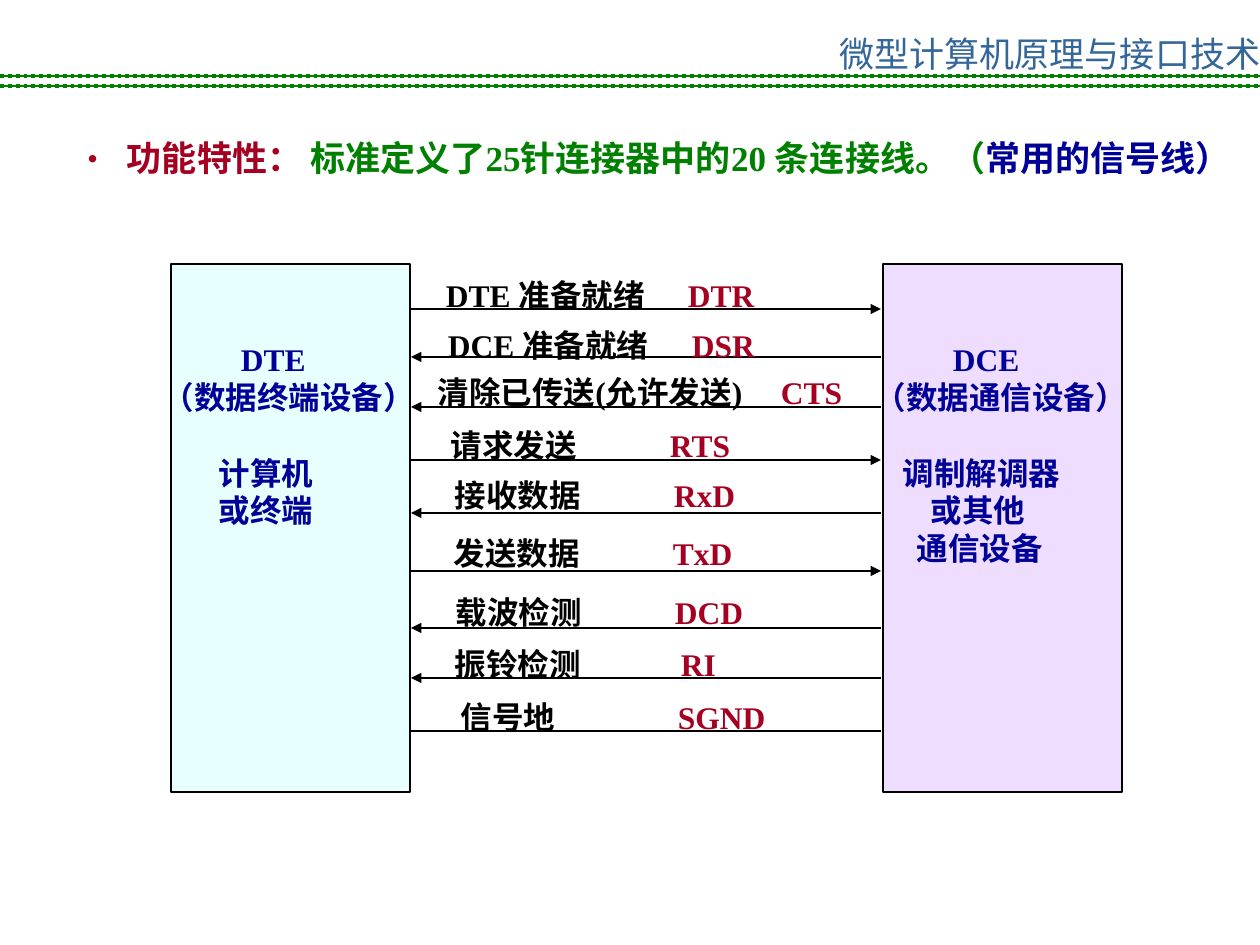
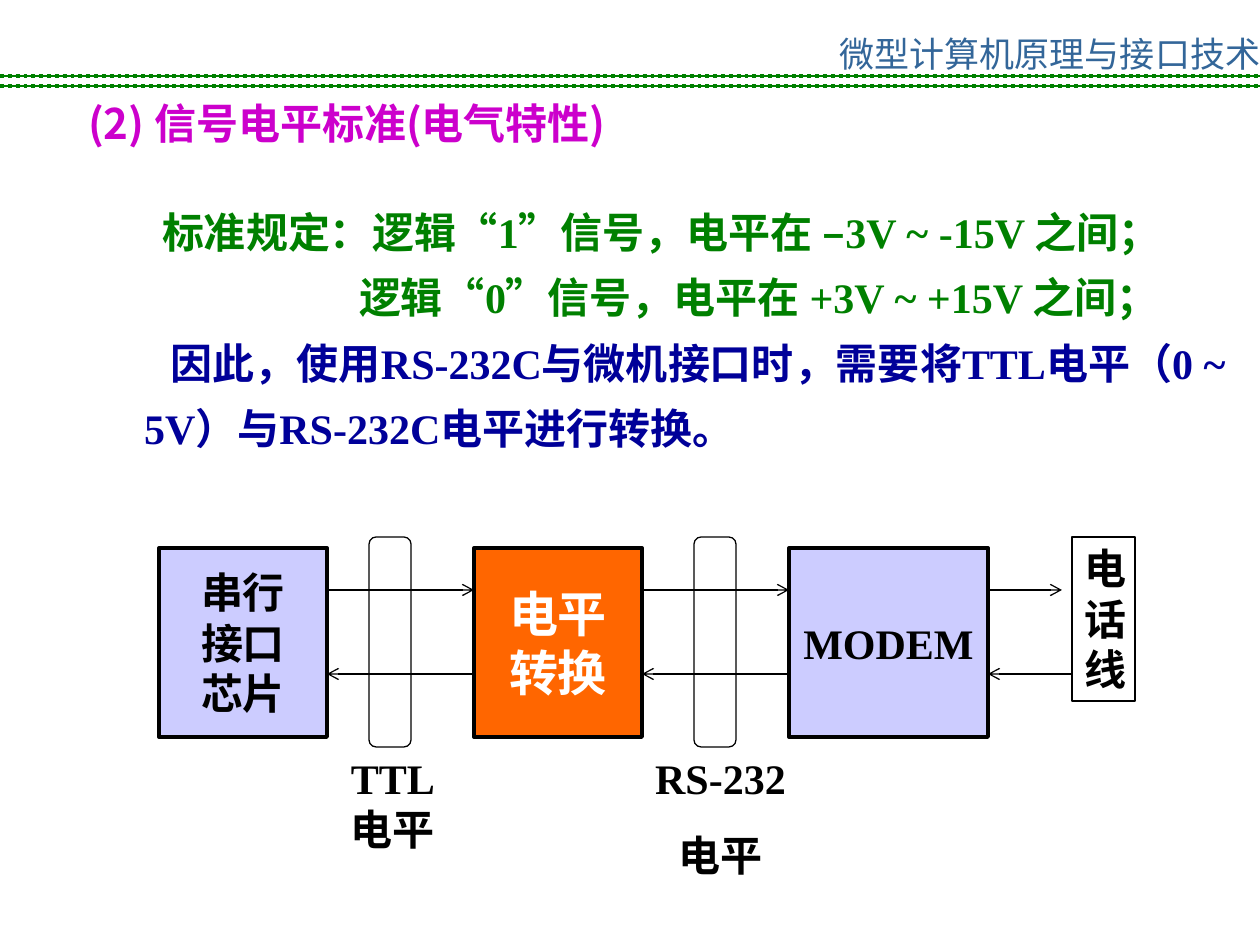
from dataclasses import dataclass

from lxml import etree
from pptx import Presentation
from pptx.dml.color import RGBColor
from pptx.enum.dml import MSO_LINE_DASH_STYLE as Dash
from pptx.enum.shapes import MSO_CONNECTOR as Connector, MSO_SHAPE as Preset
from pptx.enum.text import MSO_ANCHOR as Anchor, MSO_AUTO_SIZE as AutoSize, PP_ALIGN as Align
from pptx.oxml.ns import qn
from pptx.util import Emu, Pt

EMU_PER_PX = 914400 / 126
SLIDE_W, SLIDE_H = 1260, 945
TITLE_ONLY, BLANK = 5, 6
INSET = 13


@dataclass(frozen=True)
class Theme:
    latin: str = "Times New Roman"
    cjk: str = "Noto Sans CJK SC"
    black: str = "000000"
    white: str = "FFFFFF"
    green: str = "008000"
    blue: str = "000099"
    red: str = "A50021"
    magenta: str = "CC00CC"
    course: str = "336699"
    terminal: str = "CCFFFF"
    modem: str = "CC99FF"
    block: str = "CCCCFF"
    converter: str = "FF6600"
    small: int = 18
    lead: int = 20
    body: int = 24
    large: int = 28
    thin: float = 0.75
    thick: float = 2.25


THEME = Theme()


def px(length):
    return Emu(round(length * EMU_PER_PX))


def rgb(color):
    return RGBColor.from_string(color)


def apply(target, formats):
    for name, value in formats.items():
        setattr(target, name, value)


# Text
def add_run(paragraph, text, size, color, bold=True, latin=THEME.latin):
    run = paragraph.add_run()
    run.text = text
    apply(run.font, {"size": Pt(size), "bold": bold, "name": latin})
    run.font.color.rgb = rgb(color)
    props = run.font._element
    props.set("lang", "zh-CN")
    east_asian = etree.SubElement(props, qn("a:ea"))
    east_asian.set("typeface", THEME.cjk)


def set_indent(paragraph, margin, first):
    props = paragraph._p.get_or_add_pPr()
    props.set("marL", str(px(margin)))
    props.set("indent", str(px(first)))


def set_tab(paragraph, position):
    props = paragraph._p.get_or_add_pPr()
    tabs = etree.SubElement(props, qn("a:tabLst"))
    etree.SubElement(tabs, qn("a:tab"), pos=str(px(position)), algn="l")


def frame_of(shape, wrap=True, anchor=Anchor.TOP):
    frame = shape.text_frame
    apply(frame, {"word_wrap": wrap, "vertical_anchor": anchor,
                  "auto_size": AutoSize.NONE,
                  "margin_left": px(INSET), "margin_right": px(INSET),
                  "margin_top": px(6), "margin_bottom": px(6)})
    return frame


def add_text(slide, box, wrap=True):
    return frame_of(slide.shapes.add_textbox(*map(px, box)), wrap)


def add_lines(frame, lines, size, color, align=Align.LEFT, gap=0):
    for index, line in enumerate(lines):
        paragraph = frame.add_paragraph() if index else frame.paragraphs[0]
        paragraph.alignment = align
        if index and gap:
            paragraph.space_before = Pt(gap)
        add_run(paragraph, line, size, color)


# Outlines and lines
def add_box(slide, box, fill=None, weight=THEME.thin, alpha=None, preset=Preset.RECTANGLE):
    shape = slide.shapes.add_shape(preset, *map(px, box))
    shape.shadow.inherit = False
    if fill:
        shape.fill.solid()
        shape.fill.fore_color.rgb = rgb(fill)
    else:
        shape.fill.background()
    if alpha:
        color = shape._element.spPr.find(qn("a:solidFill")).find(qn("a:srgbClr"))
        etree.SubElement(color, qn("a:alpha"), val=str(alpha * 1000))
    shape.line.color.rgb = rgb(THEME.black)
    shape.line.width = Pt(weight)
    return shape


def add_line(slide, start, end, y, color=THEME.black, weight=THEME.thin, dash=None, head=None):
    """Draw a level line; the arrowhead, if any, sits at its end."""
    line = slide.shapes.add_connector(Connector.STRAIGHT, px(start), px(y), px(end), px(y))
    line.line.color.rgb = rgb(color)
    line.line.width = Pt(weight)
    if dash:
        line.line.dash_style = dash
    if head:
        etree.SubElement(line.line._get_or_add_ln(), qn("a:tailEnd"), type=head)
    etree.SubElement(line._element.spPr, qn("a:effectLst"))


# Shared header: course name above a double green rule
def add_header(slide):
    course = add_text(slide, (878, 26, 344, 30), wrap=False).paragraphs[0]
    course.alignment = Align.CENTER
    add_run(course, "微型计算机原理与接口技术", THEME.lead, THEME.course, False, THEME.cjk)
    for y in (76, 86):
        add_line(slide, 0, SLIDE_W, y, THEME.green, THEME.thick, Dash.ROUND_DOT)
        add_line(slide, 0, SLIDE_W, y, THEME.green)


# Slide 1: signal lines between terminal and modem
SIGNALS = [  # label, code, label x, code x, text top, line y, direction
    ("DTE 准备就绪", "DTR", 446, 688, 270, 309, "right"),
    ("DCE 准备就绪", "DSR", 448, 692, 320, 357, "left"),
    ("清除已传送(允许发送)", "CTS", 438, 781, 367, 407, "left"),
    ("请求发送", "RTS", 451, 670, 420, 460, "right"),
    ("接收数据", "RxD", 455, 674, 470, 513, "left"),
    ("发送数据", "TxD", 454, 673, 528, 571, "right"),
    ("载波检测", "DCD", 456, 675, 587, 628, "left"),
    ("振铃检测", "RI", 455, 681, 639, 678, "left"),
    ("信号地", "SGND", 461, 678, 692, 731, None),
]


def add_lead(slide, box):
    lead = add_text(slide, box).paragraphs[0]
    set_indent(lead, 0, 0)
    props = lead._p.get_or_add_pPr()
    bullet_color = etree.SubElement(props, qn("a:buClr"))
    etree.SubElement(bullet_color, qn("a:srgbClr"), val=THEME.red)
    etree.SubElement(props, qn("a:buFont"), typeface=THEME.cjk)
    etree.SubElement(props, qn("a:buChar"), char="•")
    set_tab(lead, 51)
    for text, color in [("\t功能特性： ", THEME.red),
                        ("标准定义了25针连接器中的20 条连接线。（", THEME.green),
                        ("常用的信号线）", THEME.blue)]:
        add_run(lead, text, THEME.lead, color)


def add_device(slide, box, fill, alpha, names):
    left, top, _, _ = box
    add_box(slide, box, fill, alpha=alpha)
    frame = add_text(slide, (left - 21, top + 70, 300, 240))
    add_lines(frame, [name for name, _ in names], THEME.small, THEME.blue)
    for paragraph, (_, indent) in zip(frame.paragraphs, names):
        set_indent(paragraph, indent, 0)
    frame.paragraphs[2].space_before = Pt(21.7)


def add_signal(slide, left, right, signal):
    label, code, label_x, code_x, top, line_y, direction = signal
    start, end = (right, left) if direction == "left" else (left, right)
    add_line(slide, start, end, line_y, head="triangle" if direction else None)
    text = add_text(slide, (label_x - INSET, top, 440, 50)).paragraphs[0]
    set_tab(text, code_x - label_x)
    add_run(text, label + "\t", THEME.small, THEME.black)
    add_run(text, code, THEME.small, THEME.red)


def build_signals(deck):
    slide = deck.slides.add_slide(deck.slide_layouts[BLANK])
    add_header(slide)
    add_lead(slide, (63, 130, 1197, 56))
    add_device(slide, (171, 264, 239, 528), THEME.terminal, 44,
               [("DTE", 78), ("（数据终端设备）", 0), ("计算机", 56), ("或终端", 56)])
    add_device(slide, (883, 264, 239, 528), THEME.modem, 33,
               [("DCE", 78), ("（数据通信设备）", 0), ("调制解调器", 28),
                ("或其他", 56), ("通信设备", 42)])
    for signal in SIGNALS:
        add_signal(slide, 411, 881, signal)


# Slide 2: signal levels and their conversion
def add_title(slide, box, text):
    title = slide.shapes.title
    apply(title, dict(zip(("left", "top", "width", "height"), map(px, box))))
    heading = frame_of(title).paragraphs[0]
    apply(heading, {"alignment": Align.LEFT, "line_spacing": 1.4})
    add_run(heading, text, THEME.body, THEME.magenta, latin=THEME.cjk)


def add_rules(slide, box):
    rules = [("标准规定：逻辑“1”信号，电平在 –3V ~ -15V 之间；", THEME.green, 18),
             ("逻辑“0”信号，电平在 +3V ~ +15V 之间；", THEME.green, 215),
             ("因此，使用RS-232C与微机接口时，需要将TTL电平（0 ~ 5V）与RS-232C电平进行转换。",
              THEME.blue, 27)]
    frame = add_text(slide, box)
    for index, (text, color, first) in enumerate(rules):
        rule = frame.add_paragraph() if index else frame.paragraphs[0]
        set_indent(rule, 48, first)
        rule.line_spacing = 1.3
        add_run(rule, text, THEME.body, color)


def add_stage(slide, box, lines, fill, size, color):
    stage = add_box(slide, box, fill, THEME.thick)
    add_lines(frame_of(stage, False, Anchor.MIDDLE), lines, size, color, Align.CENTER)


def add_conversion(slide, left, top):
    # Cable sleeves around the two links
    for offset in (210, 535):
        sleeve = add_box(slide, (left + offset, top, 42, 210), preset=Preset.ROUNDED_RECTANGLE)
        sleeve.adjustments[0] = 0.17

    # Stages
    stages = [(0, 168, ["串行", "接口", "芯片"], THEME.block, THEME.body, THEME.black),
              (315, 168, ["电平", "转换"], THEME.converter, THEME.large, THEME.white),
              (630, 199, ["MODEM"], THEME.block, THEME.body, THEME.black)]
    for offset, width, *content in stages:
        add_stage(slide, (left + offset, top + 11, width, 189), *content)

    # Outgoing links above, incoming links below
    for start, out_end, back_start in [(168, 315, 315), (483, 630, 630), (829, 903, 913)]:
        add_line(slide, left + start, left + out_end, top + 53, head="arrow")
        add_line(slide, left + back_start, left + start, top + 137, head="arrow")

    # Phone line and level names
    phone = add_box(slide, (left + 913, top, 63, 164))
    add_lines(frame_of(phone), ["电话线"], THEME.body, THEME.black)
    ttl = add_text(slide, (left + 179, top + 210, 126, 113))
    add_lines(ttl, ["TTL电平"], THEME.body, THEME.black)
    rs232 = add_text(slide, (left + 462, top + 210, 199, 140))
    add_lines(rs232, ["RS-232", "电平"], THEME.body, THEME.black, Align.CENTER, gap=15)


def build_levels(deck):
    slide = deck.slides.add_slide(deck.slide_layouts[TITLE_ONLY])
    add_header(slide)
    add_title(slide, (75, 71, 1023, 83), "(2) 信号电平标准(电气特性)")
    add_rules(slide, (83, 185, 1177, 282))
    add_conversion(slide, 159, 537)


def main():
    deck = Presentation()
    deck.slide_width, deck.slide_height = px(SLIDE_W), px(SLIDE_H)
    build_signals(deck)
    build_levels(deck)
    deck.save("out.pptx")


if __name__ == "__main__":
    main()
